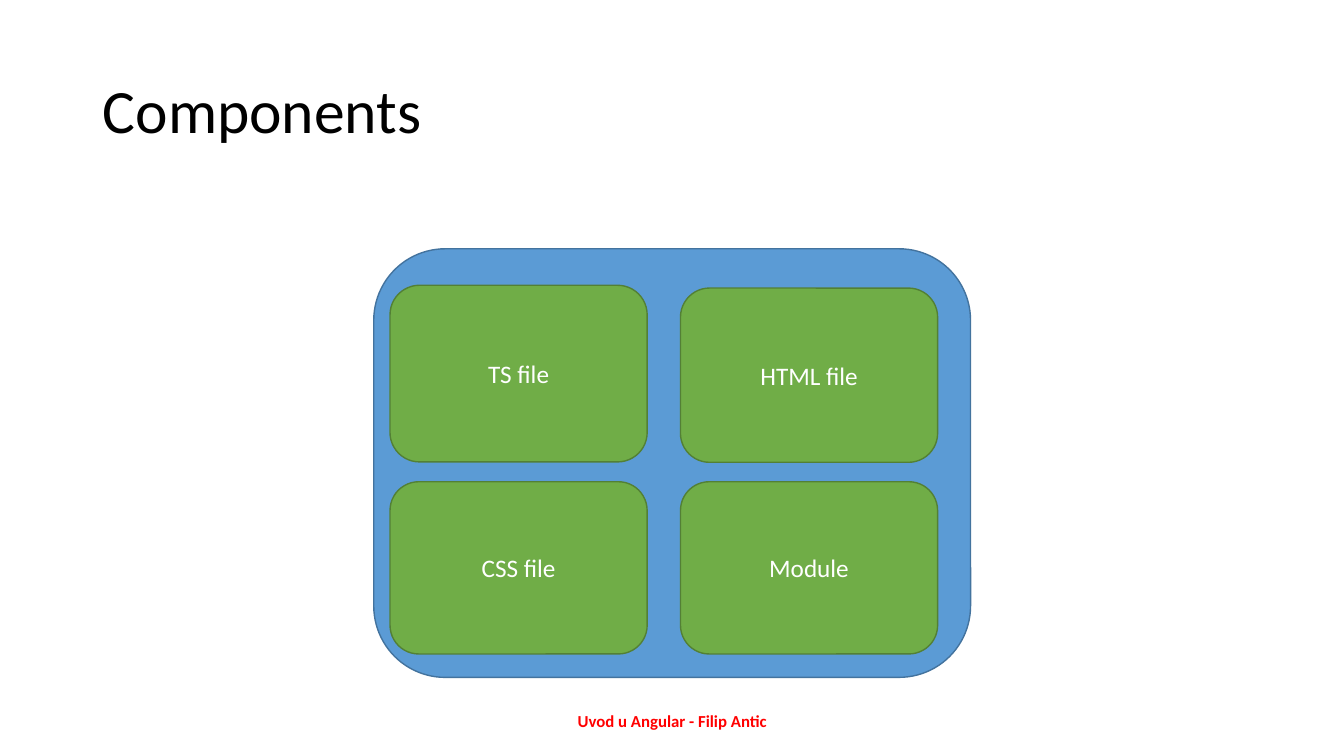
from pptx import Presentation
from pptx.dml.color import RGBColor
from pptx.enum.shapes import MSO_SHAPE
from pptx.enum.text import MSO_ANCHOR, PP_ALIGN
from pptx.util import Cm, Pt

# Boxes are left, top, width, height in centimetres.
TITLE = ("Components", (2.34, 1.02, 29.21, 3.68))
FOOTER = ("Uvod u Angular - Filip Antic", (11.23, 17.65, 11.43, 1.02))
PANEL = (9.42, 6.27, 15.04, 10.8)
# Label, column, top, height
FILES = [
    ("HTML file", 1, 7.26, 4.39),
    ("CSS file", 0, 12.14, 4.34),
    ("Module", 1, 12.14, 4.34),
    ("TS file", 0, 7.19, 4.45),
]
LEFT, WIDTH, STEP = 9.83, 6.48, 7.32

THEME = {
    "font": "Calibri",
    "title": (44, "000000"),
    "footer": (12, "FF0000"),
    "label": (18, "FFFFFF"),
    "panel": ("5B9BD5", "43739E"),
    "file": ("70AD47", "538035"),
}


def write(shape, text, style, align=PP_ALIGN.CENTER, bold=False):
    frame = shape.text_frame
    frame.word_wrap = True
    frame.vertical_anchor = MSO_ANCHOR.MIDDLE
    para = frame.paragraphs[0]
    para.alignment = align
    run = para.add_run()
    run.text = text
    size, color = THEME[style]
    run.font.name = THEME["font"]
    run.font.size = Pt(size)
    run.font.bold = bold
    run.font.color.rgb = RGBColor.from_string(color)
    return para


def add_box(slide, box, style):
    """Add a rounded box with the fill and line of a theme style."""
    shape = slide.shapes.add_shape(MSO_SHAPE.ROUNDED_RECTANGLE, *map(Cm, box))
    fill, line = THEME[style]
    shape.shadow.inherit = False
    shape.fill.solid()
    shape.fill.fore_color.rgb = RGBColor.from_string(fill)
    shape.line.color.rgb = RGBColor.from_string(line)
    shape.line.width = Pt(1)
    return shape


def main():
    deck = Presentation()
    deck.slide_width, deck.slide_height = Cm(33.87), Cm(19.05)
    slide = deck.slides.add_slide(deck.slide_layouts[6])

    text, box = TITLE
    title = slide.shapes.add_textbox(*map(Cm, box))
    write(title, text, "title", PP_ALIGN.LEFT).line_spacing = 0.9

    text, box = FOOTER
    footer = slide.shapes.add_textbox(*map(Cm, box))
    write(footer, text, "footer", bold=True)

    add_box(slide, PANEL, "panel")
    for label, col, top, height in FILES:
        box = (LEFT + col * STEP, top, WIDTH, height)
        write(add_box(slide, box, "file"), label, "label")

    deck.save("out.pptx")


if __name__ == "__main__":
    main()
